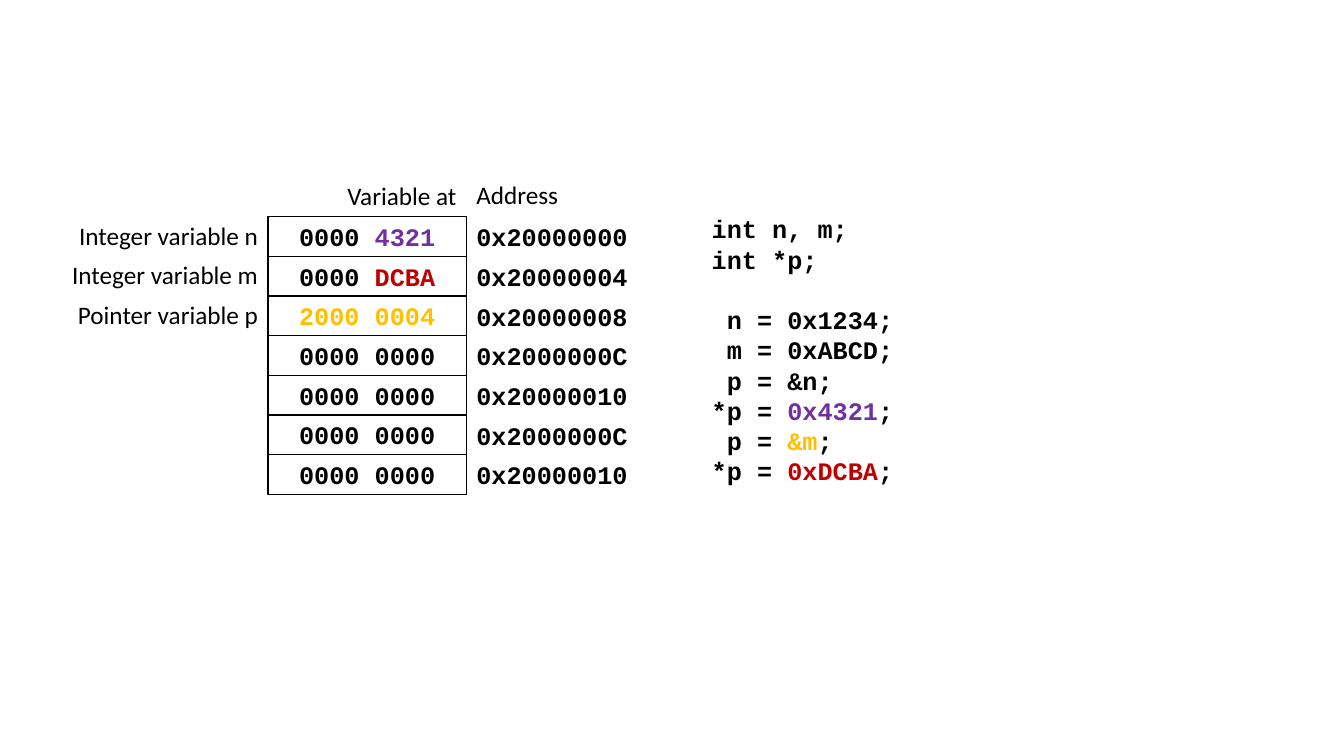
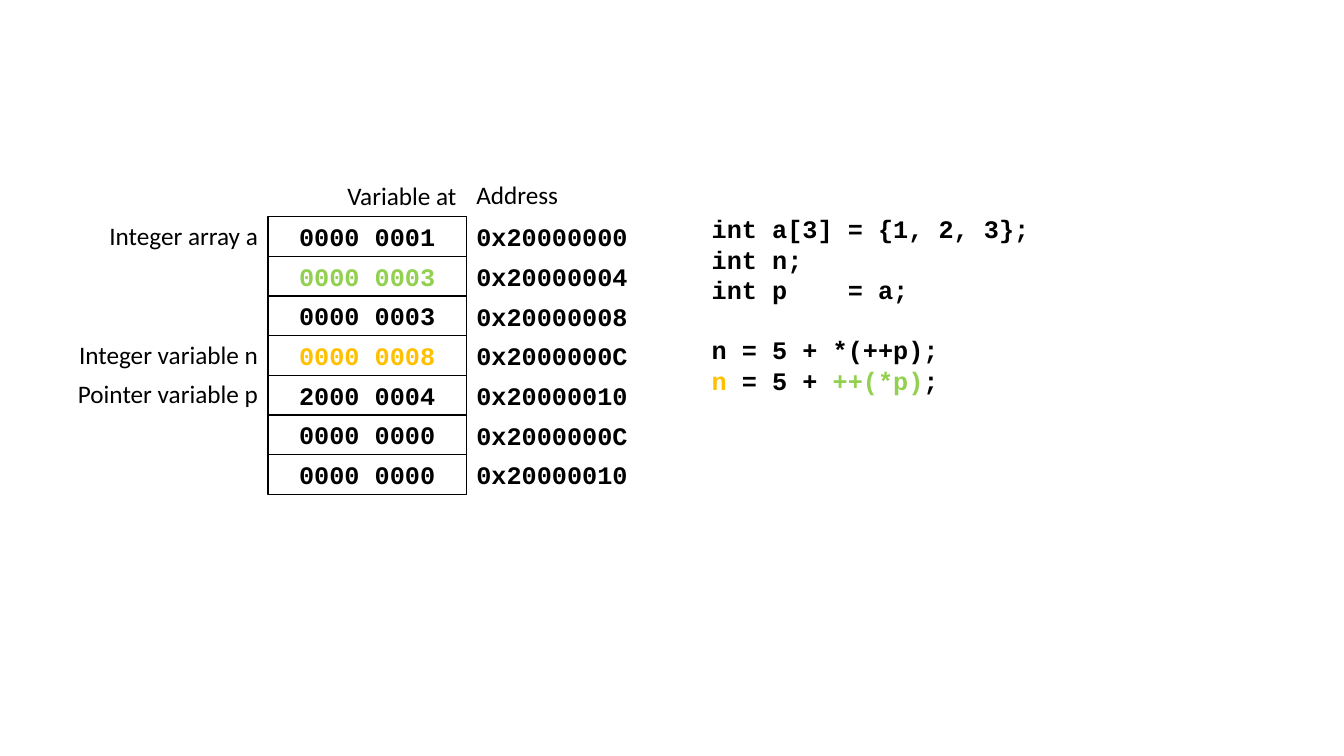
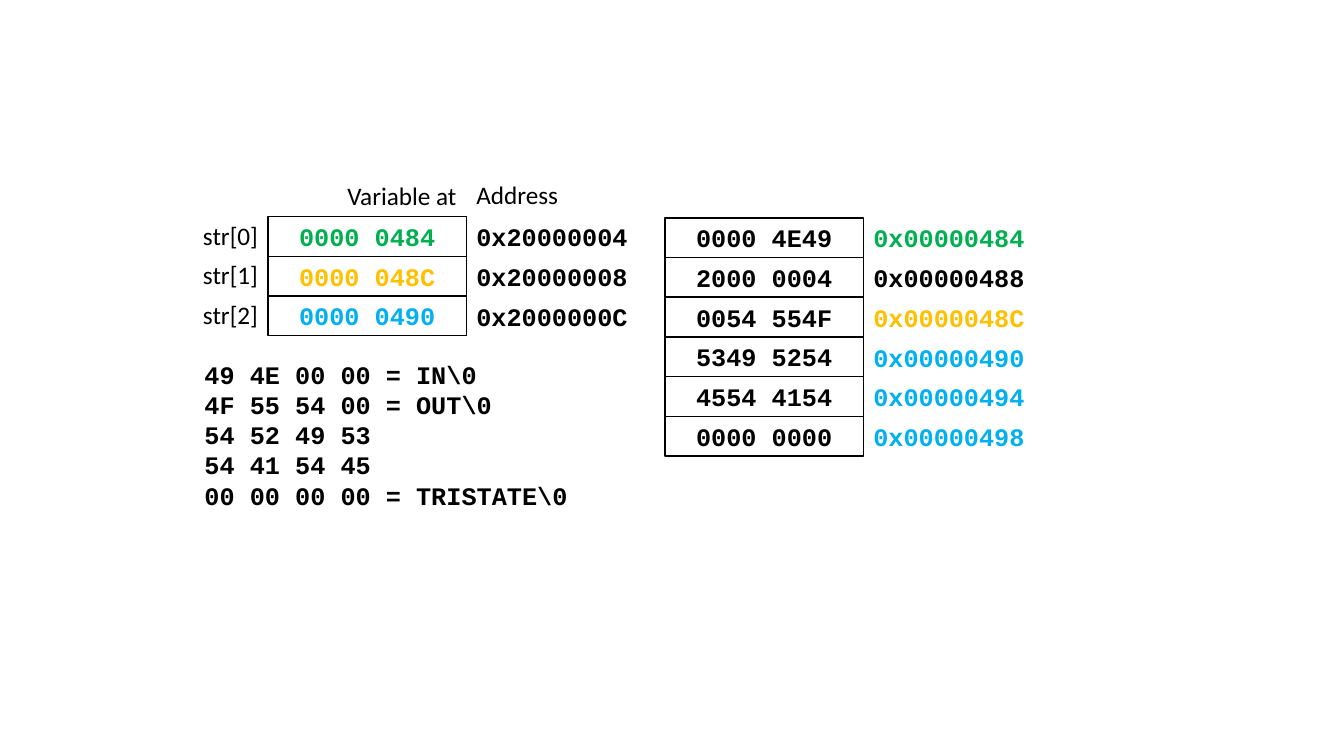
from lxml import etree
from pptx import Presentation
from pptx import util as u
from pptx.dml.color import RGBColor
from pptx.enum import shapes, text
from pptx.oxml import ns

BLACK = RGBColor(0x00, 0x00, 0x00)
WHITE = RGBColor(0xFF, 0xFF, 0xFF)
PURPLE = RGBColor(0x70, 0x30, 0xA0)
RED = RGBColor(0xC0, 0x00, 0x00)
GOLD = RGBColor(0xFF, 0xC0, 0x00)
LIME = RGBColor(0x92, 0xD0, 0x50)
GREEN = RGBColor(0x00, 0xB0, 0x50)
BLUE = RGBColor(0x00, 0xB0, 0xF0)

MONO, SANS = "Courier New", "Calibri"
LEFT, CENTER, RIGHT = text.PP_ALIGN.LEFT, text.PP_ALIGN.CENTER, text.PP_ALIGN.RIGHT
COL, ROW = 5, 1
MEMORY_X, MEMORY_Y = 6.75, 5.46
LABEL_W = 5.6
LINE_H, PADDING = 0.77, 0.25
LINE_GAP = u.Pt(21.6)
TAB_STOP = u.Pt(9 * 10.8)


def write(frame, lines, font, align):
    frame.word_wrap = True
    paragraph, gap = frame.paragraphs[0], False
    for number, runs in enumerate(lines):
        if not runs:
            gap = True
            continue
        if number:
            paragraph = frame.add_paragraph()
        paragraph.alignment = align
        if gap:
            paragraph.space_before = LINE_GAP
            gap = False
        for words, color in runs:
            run = paragraph.add_run()
            run.text = words
            run.font.size = u.Pt(18)
            run.font.name = font
            run.font.bold = font == MONO
            run.font.color.rgb = color
            if "\t" in words:
                tabs = etree.SubElement(paragraph._p.get_or_add_pPr(), ns.qn("a:tabLst"))
                etree.SubElement(tabs, ns.qn("a:tab"), pos=str(int(TAB_STOP)), algn="l")


def add_text(slide, x, y, width, lines, font=MONO, align=LEFT):
    height = LINE_H * len(lines) + PADDING
    box = slide.shapes.add_textbox(u.Cm(x), u.Cm(y), u.Cm(width), u.Cm(height))
    write(box.text_frame, lines, font, align)
    box.text_frame.auto_size = text.MSO_AUTO_SIZE.SHAPE_TO_FIT_TEXT


ram = [("0x20000000", BLACK), ("0x20000004", BLACK), ("0x20000008", BLACK),
       ("0x2000000C", BLACK), ("0x20000010", BLACK), ("0x2000000C", BLACK),
       ("0x20000010", BLACK)]
zero = [("0000 0000", BLACK)]

pointer_assignment = {
    "memories": [(0, 0, [
        [("0000 ", BLACK), ("4321", PURPLE)],
        [("0000 ", BLACK), ("DCBA", RED)],
        [("2000 0004", GOLD)],
        zero, zero, zero, zero], ram)],
    "labels": {0: "Integer variable n", 1: "Integer variable m", 2: "Pointer variable p"},
    "code_box": (17.68, 5.26, 5.36),
    "code": [
        [("int n, m;", BLACK)],
        [("int *p;", BLACK)],
        [],
        [(" n = 0x1234;", BLACK)],
        [(" m = 0xABCD;", BLACK)],
        [(" p = &n;", BLACK)],
        [("*p = ", BLACK), ("0x4321", PURPLE), (";", BLACK)],
        [(" p = ", BLACK), ("&m", GOLD), (";", BLACK)],
        [("*p = ", BLACK), ("0xDCBA", RED), (";", BLACK)]],
}

array_increment = {
    "memories": [(0, 0, [
        [("0000 0001", BLACK)],
        [("0000 0003", LIME)],
        [("0000 0003", BLACK)],
        [("0000 0008", GOLD)],
        [("2000 0004", BLACK)],
        zero, zero], ram)],
    "labels": {0: "Integer array a", 3: "Integer variable n", 4: "Pointer variable p"},
    "code_box": (17.68, 5.26, 10.82),
    "code": [
        [("int a[3] = {1, 2, 3};", BLACK)],
        [("int n;", BLACK)],
        [("int p\t= a;", BLACK)],
        [],
        [("n = 5 + *(++p);", BLACK)],
        [("n", GOLD), (" = 5 + ", BLACK), ("++(*p)", LIME), (";", BLACK)]],
}

string_table = {
    "memories": [
        (0, 0, [[("0000 0484", GREEN)], [("0000 048C", GOLD)], [("0000 0490", BLUE)]],
         ram[1:4]),
        (2, 0.03, [
            [("0000 4E49", BLACK)], [("2000 0004", BLACK)], [("0054 554F", BLACK)],
            [("5349 5254", BLACK)], [("4554 4154", BLACK)], zero],
         [("0x00000484", GREEN), ("0x00000488", BLACK), ("0x0000048C", GOLD),
          ("0x00000490", BLUE), ("0x00000494", BLUE), ("0x00000498", BLUE)])],
    "labels": {0: "str[0]", 1: "str[1]", 2: "str[2]"},
    "code_box": (4.9, 8.92, 16.83),
    "code": [
        [("49 4E 00 00 = IN\\0", BLACK)],
        [("4F 55 54 00 = OUT\\0", BLACK)],
        [("54 52 49 53", BLACK)],
        [("54 41 54 45", BLACK)],
        [("00 00 00 00 = TRISTATE\\0", BLACK)]],
}

deck = Presentation()
deck.slide_width, deck.slide_height = u.Inches(13.33), u.Inches(7.5)

for example in (pointer_assignment, array_increment, string_table):
    slide = deck.slides.add_slide(deck.slide_layouts[6])

    for column, drop, values, addresses in example["memories"]:
        x = MEMORY_X + column * COL
        for row, (value, address) in enumerate(zip(values, addresses)):
            y = MEMORY_Y + drop + row * ROW
            cell = slide.shapes.add_shape(
                shapes.MSO_SHAPE.RECTANGLE, u.Cm(x), u.Cm(y), u.Cm(COL), u.Cm(ROW))
            cell.shadow.inherit = False
            cell.fill.solid()
            cell.fill.fore_color.rgb = WHITE
            cell.line.color.rgb = BLACK
            cell.line.width = u.Pt(1)
            cell.text_frame.vertical_anchor = text.MSO_ANCHOR.MIDDLE
            write(cell.text_frame, [value], MONO, CENTER)
            add_text(slide, x + COL, y, COL, [[address]])

    add_text(slide, MEMORY_X, 4.42, COL, [[("Variable at", BLACK)]], SANS, RIGHT)
    add_text(slide, MEMORY_X + COL, 4.4, COL, [[("Address", BLACK)]], SANS)
    for row, label in example["labels"].items():
        add_text(slide, MEMORY_X - LABEL_W, MEMORY_Y + row * ROW - 0.04, LABEL_W,
                 [[(label, BLACK)]], SANS, RIGHT)
    add_text(slide, *example["code_box"], example["code"])

deck.save("out.pptx")
